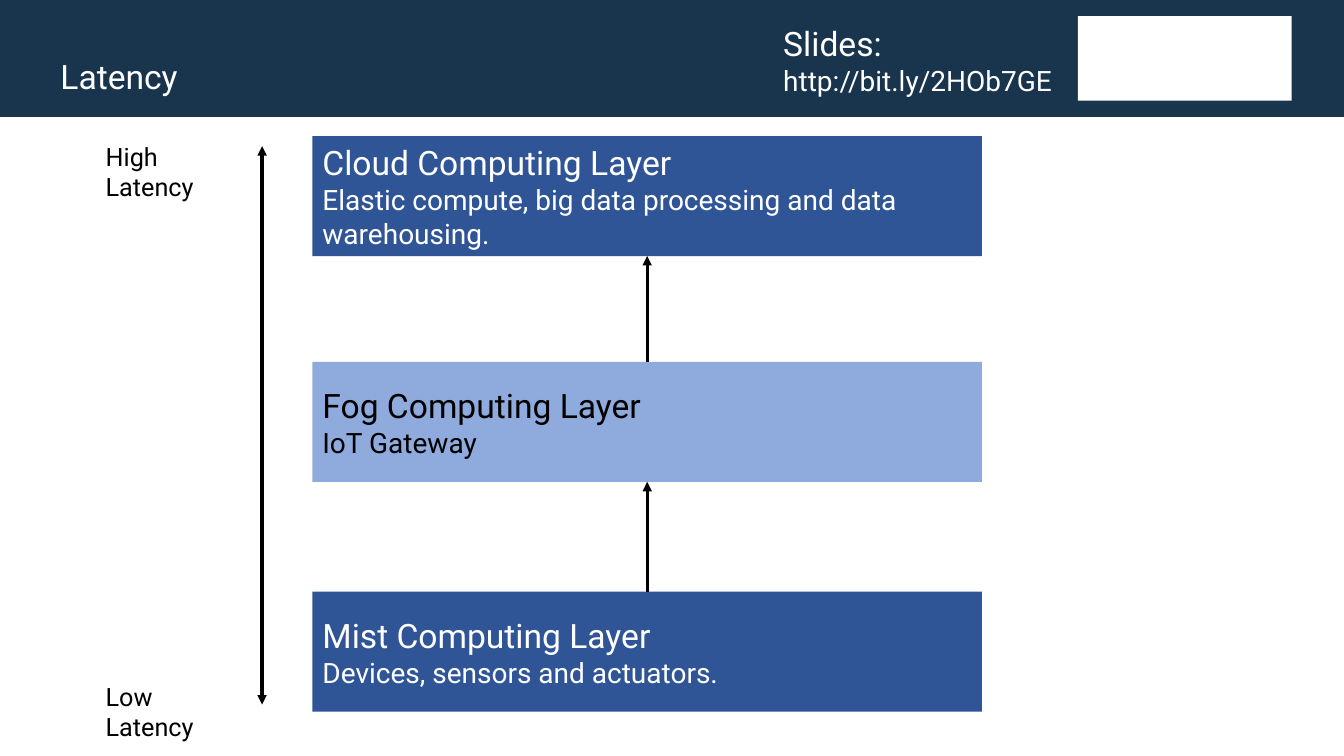
"""Build the latency slide with its cloud, fog and mist computing layers."""
from dataclasses import dataclass

import pptx
import pptx.dml.color
import pptx.enum.shapes
import pptx.enum.text
import pptx.oxml
import pptx.oxml.ns
import pptx.shapes.autoshape
import pptx.shapes.connector
import pptx.slide
import pptx.text.text
import pptx.util

COLOURS = {
    "navy": "19344D",
    "blue": "2F5597",
    "light blue": "8FAADC",
    "white": "FFFFFF",
    "black": "000000",
}
FONT = "Roboto"
SLIDE_WIDTH = pptx.util.Inches(13.33)
SLIDE_HEIGHT = pptx.util.Inches(7.5)
LAYER_LEFT, LAYER_WIDTH, LAYER_HEIGHT = 23.25, 49.81, 15.87
LABEL_LEFT, LABEL_WIDTH, LABEL_HEIGHT = 7.13, 11.63, 5.33
HEADING_SIZES = (24, 20)


@dataclass(frozen=True)
class Area:
    """A place on the slide, in percent of its width and height."""
    left: float
    top: float
    width: float
    height: float

    def emu(self) -> tuple[int, int, int, int]:
        return across(self.left), down(self.top), across(self.width), down(self.height)


@dataclass(frozen=True)
class Layer:
    """One computing layer of the stack."""
    lines: tuple[str, str]
    top: float
    fill: str
    ink: str


@dataclass(frozen=True)
class Label:
    """A label at one end of the latency axis."""
    text: str
    top: float


LAYERS = (
    Layer(("Cloud Computing Layer",
           "Elastic compute, big data processing and data warehousing."),
          18, "blue", "white"),
    Layer(("Fog Computing Layer", "IoT Gateway"), 47.87, "light blue", "black"),
    Layer(("Mist Computing Layer", "Devices, sensors and actuators."),
          78.27, "blue", "white"),
)
LABELS = (Label("High Latency", 18), Label("Low Latency", 89.47))


def across(percent: float) -> int:
    return round(SLIDE_WIDTH * percent / 100)


def down(percent: float) -> int:
    return round(SLIDE_HEIGHT * percent / 100)


def colour(name: str) -> pptx.dml.color.RGBColor:
    return pptx.dml.color.RGBColor.from_string(COLOURS[name])


def write(frame: pptx.text.text.TextFrame, lines: tuple[str, ...],
          sizes: tuple[int, ...], ink: str) -> None:
    frame.text = "\n".join(lines)
    frame.word_wrap = True
    for paragraph, size in zip(frame.paragraphs, sizes):
        paragraph.alignment = pptx.enum.text.PP_ALIGN.LEFT
        for run in paragraph.runs:
            run.font.name = FONT
            run.font.size = pptx.util.Pt(size)
            run.font.color.rgb = colour(ink)


def add_block(slide: pptx.slide.Slide, area: Area,
              fill: str) -> pptx.shapes.autoshape.Shape:
    block = slide.shapes.add_shape(
        pptx.enum.shapes.MSO_SHAPE.RECTANGLE, *area.emu())
    block.shadow.inherit = False
    block.fill.solid()
    block.fill.fore_color.rgb = colour(fill)
    block.line.fill.background()
    return block


def add_text(slide: pptx.slide.Slide, area: Area, lines: tuple[str, ...],
             sizes: tuple[int, ...], ink: str) -> None:
    write(slide.shapes.add_textbox(*area.emu()).text_frame, lines, sizes, ink)


def add_arrow(slide: pptx.slide.Slide, x: float, start: float, end: float,
              tips: tuple[str, ...]) -> pptx.shapes.connector.Connector:
    arrow = slide.shapes.add_connector(
        pptx.enum.shapes.MSO_CONNECTOR.STRAIGHT,
        across(x), down(start), across(x), down(end))
    arrow.line.width = pptx.util.Pt(2.25)
    arrow.line.color.rgb = colour("black")
    namespace = pptx.oxml.ns.nsdecls("a")
    for tip in tips:
        arrow.line._get_or_add_ln().append(
            pptx.oxml.parse_xml(f'<a:{tip} {namespace} type="triangle"/>'))
    arrow._element.spPr.append(pptx.oxml.parse_xml(f"<a:effectLst {namespace}/>"))
    return arrow


def add_header(slide: pptx.slide.Slide) -> None:
    header = add_block(slide, Area(0, 0, 100, 15.47), "navy")
    title = header.text_frame
    write(title, ("Latency",), (24,), "white")
    title.vertical_anchor = pptx.enum.text.MSO_ANCHOR.BOTTOM
    title.margin_left = pptx.util.Inches(0.6)
    title.margin_bottom = pptx.util.Inches(0.2)
    title.paragraphs[0].line_spacing = 0.9
    title.paragraphs[0].space_after = pptx.util.Pt(6)
    add_block(slide, Area(80.2, 2.13, 15.9, 11.2), "white")
    add_text(slide, Area(57.54, 2.4, 21.98, 11.2),
             ("Slides:", "http://bit.ly/2HOb7GE"), HEADING_SIZES, "white")


def add_layers(slide: pptx.slide.Slide) -> None:
    blocks = []
    for layer in LAYERS:
        block = add_block(
            slide, Area(LAYER_LEFT, layer.top, LAYER_WIDTH, LAYER_HEIGHT), layer.fill)
        write(block.text_frame, layer.lines, HEADING_SIZES, layer.ink)
        block.text_frame.vertical_anchor = pptx.enum.text.MSO_ANCHOR.MIDDLE
        blocks.append(block)
    centre = LAYER_LEFT + LAYER_WIDTH / 2
    for index in range(len(LAYERS) - 1):
        upper, lower = LAYERS[index:index + 2]
        flow = add_arrow(slide, centre, lower.top, upper.top + LAYER_HEIGHT, ("tailEnd",))
        flow.begin_connect(blocks[index + 1], 0)
        flow.end_connect(blocks[index], 2)


def add_latency_axis(slide: pptx.slide.Slide) -> None:
    add_arrow(slide, 19.5, 93.2, 19.33, ("headEnd", "tailEnd"))
    for label in LABELS:
        add_text(slide, Area(LABEL_LEFT, label.top, LABEL_WIDTH, LABEL_HEIGHT),
                 (label.text,), (18,), "black")


def main() -> None:
    deck = pptx.Presentation()
    deck.slide_width, deck.slide_height = SLIDE_WIDTH, SLIDE_HEIGHT
    slide = deck.slides.add_slide(deck.slide_layouts[6])
    add_header(slide)
    add_layers(slide)
    add_latency_axis(slide)
    deck.save("out.pptx")


if __name__ == "__main__":
    main()
